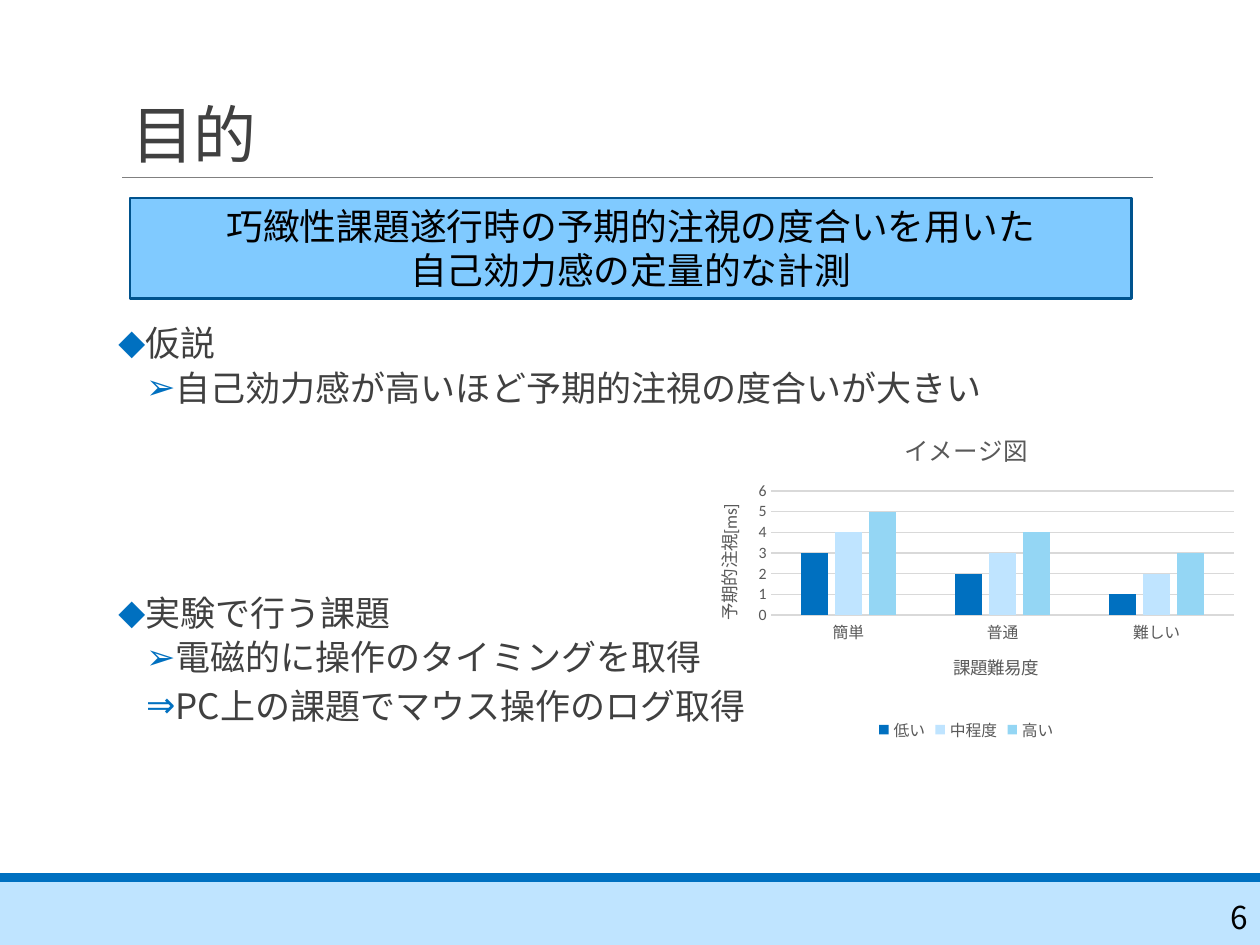
"""Build the research purpose slide with its hypothesis chart."""
from dataclasses import dataclass

from lxml import etree
from pptx import Presentation
from pptx.chart.data import CategoryChartData
from pptx.dml.color import RGBColor
from pptx.enum import chart as charts, shapes, text
from pptx.oxml import ns, parse_xml
from pptx.util import Inches, Pt


@dataclass(frozen=True)
class Theme:
    japanese: str = "Noto Sans CJK JP"
    latin: str = "Calibri"
    black: str = "000000"
    ink: str = "404040"
    muted: str = "595959"
    rule: str = "808080"
    grid: str = "D9D9D9"
    accent: str = "0070C0"
    pale: str = "BFE4FF"
    sky: str = "94D6F4"
    banner: str = "80CAFF"
    banner_edge: str = "00538E"
    title: int = 36
    message: int = 21
    body: int = 20
    number: int = 18
    chart_title: int = 14
    axis_title: int = 10
    chart_label: int = 9


theme = Theme()


def style(font, size, color, name=theme.japanese):
    font.size = Pt(size)
    font.bold = False
    font.color.rgb = RGBColor.from_string(color)
    font.name = name
    east_asian = etree.Element(ns.qn("a:ea"), typeface=theme.japanese)
    font._element.find(ns.qn("a:latin")).addnext(east_asian)


def add_rectangle(left, top, width, height, fill):
    shape = slide.shapes.add_shape(
        shapes.MSO_SHAPE.RECTANGLE, Inches(left), Inches(top), Inches(width), Inches(height))
    shape.shadow.inherit = False
    shape.fill.solid()
    shape.fill.fore_color.rgb = RGBColor.from_string(fill)
    shape.line.fill.background()
    return shape


presentation = Presentation()
presentation.slide_width, presentation.slide_height = Inches(10), Inches(7.5)
slide = presentation.slides.add_slide(presentation.slide_layouts[5])

add_rectangle(0, 7, 10, 0.5, theme.pale)
add_rectangle(0, 6.93, 10, 0.07, theme.accent)
rule = slide.shapes.add_connector(
    shapes.MSO_CONNECTOR.STRAIGHT, Inches(0.97), Inches(1.41), Inches(9.15), Inches(1.41))
rule.line.color.rgb = RGBColor.from_string(theme.rule)
rule.line.width = Pt(0.5)
etree.SubElement(rule._element.spPr, ns.qn("a:effectLst"))

title = slide.shapes.title
title.left, title.top = Inches(0.94), Inches(0.27)
title.width, title.height = Inches(8.25), Inches(1.14)
title.text_frame.text = "目的"
title.text_frame.auto_size = text.MSO_AUTO_SIZE.NONE
title.text_frame.vertical_anchor = text.MSO_ANCHOR.BOTTOM
paragraph = title.text_frame.paragraphs[0]
paragraph.alignment = text.PP_ALIGN.LEFT
paragraph.line_spacing = 0.85
style(paragraph.font, theme.title, theme.ink)
paragraph.font._element.set("spc", "-50")

sections = [
    (2.54, [("◆", "仮説"), ("➢", "自己効力感が高いほど予期的注視の度合いが大きい")]),
    (4.68, [("◆", "実験で行う課題"), ("➢", "電磁的に操作のタイミングを取得"),
            ("⇒", "PC上の課題でマウス操作のログ取得")]),
]
for top, items in sections:
    box = slide.shapes.add_textbox(
        Inches(0.94), Inches(top), Inches(8.25), Inches(0.4 * len(items)))
    frame = box.text_frame
    frame.word_wrap = True
    frame.margin_left = frame.margin_right = 0
    for index, (bullet, words) in enumerate(items):
        paragraph = frame.paragraphs[0] if index == 0 else frame.add_paragraph()
        paragraph.text = words
        paragraph.level = min(index, 1)
        paragraph.line_spacing = 0.9
        paragraph.space_before = Pt(2 if index else 0)
        paragraph.space_after = Pt(4 if index else 2)
        margin, indent = (0.42, -0.2) if index else (0.1, -0.1)
        properties = paragraph._p.get_or_add_pPr()
        properties.set("marL", str(Inches(margin)))
        properties.set("indent", str(Inches(indent)))
        bullet_color = etree.SubElement(properties, ns.qn("a:buClr"))
        etree.SubElement(bullet_color, ns.qn("a:srgbClr"), val=theme.accent)
        etree.SubElement(properties, ns.qn("a:buFont"), typeface=theme.latin)
        etree.SubElement(properties, ns.qn("a:buChar"), char=bullet)
        style(paragraph.font, theme.body, theme.ink)

number = slide.shapes.add_textbox(Inches(8.92), Inches(7.08), Inches(1.08), Inches(0.4))
number.text_frame.text = "6"
number.text_frame.word_wrap = True
number.text_frame.vertical_anchor = text.MSO_ANCHOR.MIDDLE
paragraph = number.text_frame.paragraphs[0]
paragraph.alignment = text.PP_ALIGN.RIGHT
style(paragraph.font, theme.number, theme.black)

message = add_rectangle(1.03, 1.57, 7.95, 0.8, theme.banner)
message.line.color.rgb = RGBColor.from_string(theme.banner_edge)
message.line.width = Pt(1.25)
message.text_frame.text = "巧緻性課題遂行時の予期的注視の度合いを用いた\n自己効力感の定量的な計測"
message.text_frame.vertical_anchor = text.MSO_ANCHOR.MIDDLE
for paragraph in message.text_frame.paragraphs:
    paragraph.alignment = text.PP_ALIGN.CENTER
    style(paragraph.font, theme.message, theme.black)

series_rows = [
    ("低い", (3, 2, 1), theme.accent),
    ("中程度", (4, 3, 2), theme.pale),
    ("高い", (5, 4, 3), theme.sky),
]
chart_data = CategoryChartData()
chart_data.categories = ["簡単", "普通", "難しい"]
for name, values, color in series_rows:
    chart_data.add_series(name, values)
chart = slide.shapes.add_chart(
    charts.XL_CHART_TYPE.COLUMN_CLUSTERED,
    Inches(5.46), Inches(3.26), Inches(4.42), Inches(2.66), chart_data).chart
style(chart.font, theme.chart_label, theme.muted, theme.latin)
chart.has_legend = True
chart.legend.position = charts.XL_LEGEND_POSITION.BOTTOM
chart.legend.include_in_layout = False
style(chart.legend.font, theme.chart_label, theme.muted, theme.latin)

plot = chart.plots[0]
plot.gap_width, plot.overlap = 219, -27
plot.vary_by_categories = False
for series, (name, values, color) in zip(plot.series, series_rows):
    series.format.fill.solid()
    series.format.fill.fore_color.rgb = RGBColor.from_string(color)

category_axis, value_axis = chart.category_axis, chart.value_axis
for axis in (category_axis, value_axis):
    axis.major_tick_mark = axis.minor_tick_mark = charts.XL_TICK_MARK.NONE
    style(axis.tick_labels.font, theme.chart_label, theme.muted, theme.latin)
value_axis.minimum_scale, value_axis.maximum_scale, value_axis.major_unit = 0, 6, 1
value_axis.format.line.fill.background()
for line in (category_axis.format.line, value_axis.major_gridlines.format.line):
    line.color.rgb = RGBColor.from_string(theme.grid)
    line.width = Pt(0.75)

for owner, words, size, name in (
    (chart, "イメージ図", theme.chart_title, theme.japanese),
    (category_axis, "課題難易度", theme.axis_title, theme.latin),
    (value_axis, "予期的注視[ms]", theme.axis_title, theme.latin),
):
    heading = owner.chart_title if owner is chart else owner.axis_title
    heading.text_frame.text = words
    style(heading.text_frame.paragraphs[0].font, size, theme.muted, name)
chart.chart_title.include_in_layout = False
value_axis.axis_title.text_frame._txBody.bodyPr.set("rot", "-5400000")

layout = parse_xml(
    f'<c:layout {ns.nsdecls("c")}><c:manualLayout><c:layoutTarget val="inner"/>'
    '<c:xMode val="edge"/><c:yMode val="edge"/><c:x val="0.15"/><c:y val="0.24"/>'
    '<c:w val="0.83"/><c:h val="0.37"/></c:manualLayout></c:layout>')
plot_area = chart._chartSpace.chart.plotArea
for old_layout in plot_area.findall(ns.qn("c:layout")):
    plot_area.remove(old_layout)
plot_area.insert(0, layout)

presentation.save("out.pptx")
